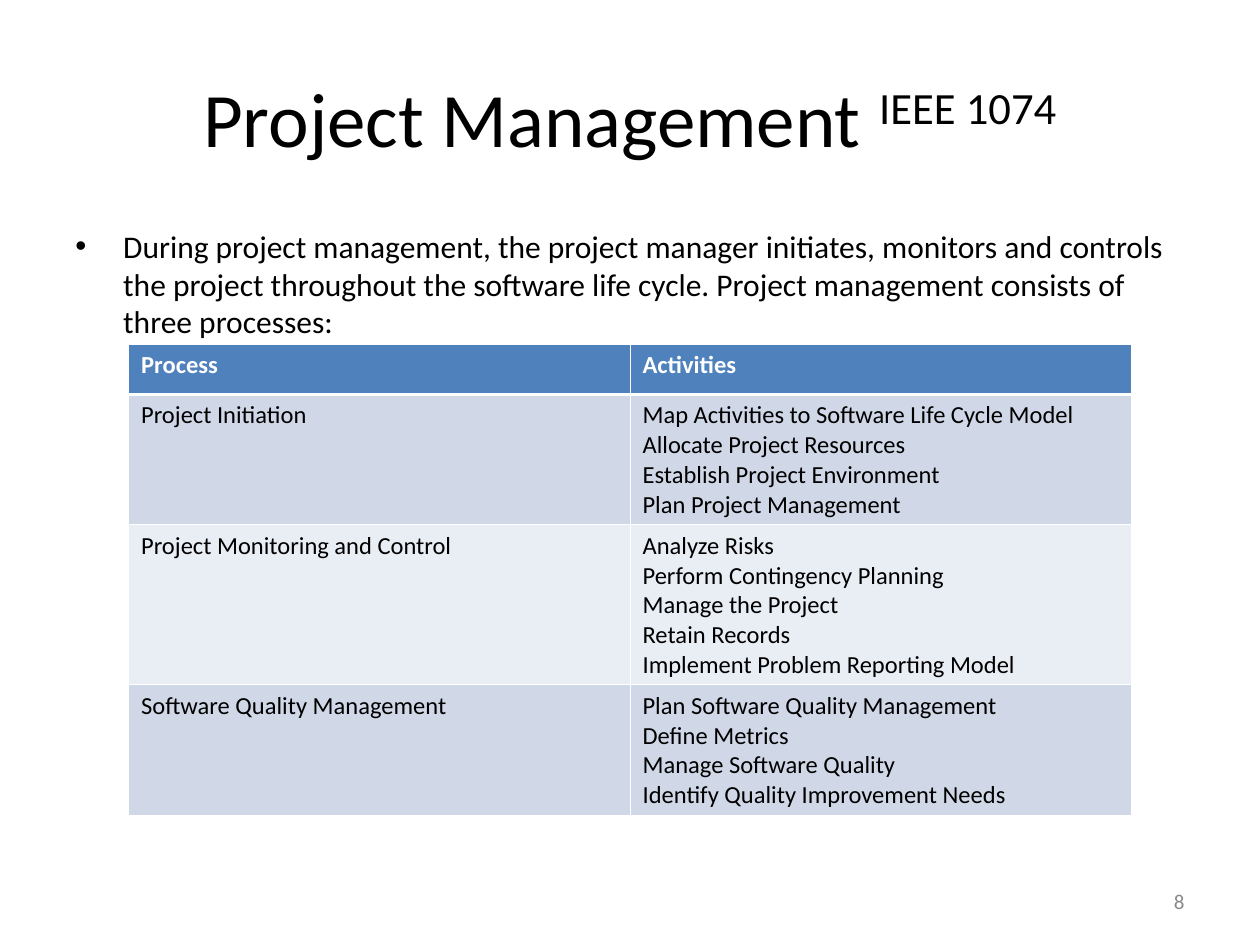
from lxml.etree import SubElement
from pptx import Presentation
from pptx.dml.color import RGBColor
from pptx.enum.text import MSO_ANCHOR, PP_ALIGN
from pptx.oxml import parse_xml
from pptx.oxml.ns import nsdecls, qn
from pptx.util import Inches, Pt

PROCESSES = [
    ("Project Initiation", [
        "Map Activities to Software Life Cycle Model",
        "Allocate Project Resources",
        "Establish Project Environment",
        "Plan Project Management"]),
    ("Project Monitoring and Control", [
        "Analyze Risks",
        "Perform Contingency Planning",
        "Manage the Project",
        "Retain Records",
        "Implement Problem Reporting Model"]),
    ("Software Quality Management", [
        "Plan Software Quality Management",
        "Define Metrics",
        "Manage Software Quality",
        "Identify Quality Improvement Needs"]),
]


def color(hex_string):
    return RGBColor.from_string(hex_string)


def add_text(para, text, size=14, ink="000000", bold=False, font="Calibri",
             raised=0):
    span = para.add_run()
    span.text = text
    span.font.name = font
    span.font.size = Pt(size)
    span.font.bold = bold
    span.font.color.rgb = color(ink)
    if raised:
        span.font._element.set("baseline", str(raised * 1000))


class SlideBuilder:
    white = "FFFFFF"
    header_fill = "4F81BD"
    band_fills = ("D0D8E8", "E9EDF4")
    thin, thick = 0.45, 1.47

    def __init__(self, slide):
        self.slide = slide

    def text_box(self, left, top, width, height, anchor=MSO_ANCHOR.TOP,
                 align=PP_ALIGN.LEFT):
        box = self.slide.shapes.add_textbox(
            Inches(left), Inches(top), Inches(width), Inches(height))
        frame = box.text_frame
        frame.word_wrap = True
        frame.vertical_anchor = anchor
        para = frame.paragraphs[0]
        para.alignment = align
        return para

    def bullet(self, para, indent):
        properties = para._p.get_or_add_pPr()
        properties.set("marL", str(Inches(indent)))
        properties.set("indent", str(-Inches(indent)))
        SubElement(properties, qn("a:buFont"), typeface="Arial")
        SubElement(properties, qn("a:buChar"), char="•")

    def borders(self, cell, top, bottom):
        widths = {"L": self.thin, "R": self.thin, "T": top, "B": bottom}
        for index, (side, width) in enumerate(widths.items()):
            line = parse_xml(
                f'<a:ln{side} {nsdecls("a")} w="{Pt(width)}"><a:solidFill>'
                f'<a:srgbClr val="{self.white}"/></a:solidFill></a:ln{side}>')
            cell._tc.get_or_add_tcPr().insert(index, line)

    def cell(self, cell, lines, fill, top, bottom, **style):
        cell.fill.solid()
        cell.fill.fore_color.rgb = color(fill)
        self.borders(cell, top, bottom)
        frame = cell.text_frame
        for index, line in enumerate(lines):
            para = frame.add_paragraph() if index else frame.paragraphs[0]
            add_text(para, line, **style)

    def table(self, left, top, column_width, row_heights, header, rows):
        shape = self.slide.shapes.add_table(
            len(row_heights), len(header), Inches(left), Inches(top),
            Inches(column_width * len(header)), Inches(sum(row_heights)))
        table = shape.table
        for column in table.columns:
            column.width = Inches(column_width)
        for row, height in zip(table.rows, row_heights):
            row.height = Inches(height)
        for column, label in enumerate(header):
            self.cell(table.cell(0, column), [label], self.header_fill,
                      self.thin, self.thick, ink=self.white, bold=True)
        for number, (process, activities) in enumerate(rows):
            fill = self.band_fills[number % 2]
            top_width = self.thin if number else self.thick
            for column, lines in enumerate(([process], activities)):
                self.cell(table.cell(number + 1, column), lines, fill,
                          top_width, self.thin)


def main():
    deck = Presentation()
    deck.slide_width, deck.slide_height = Inches(10), Inches(7.5)
    page = SlideBuilder(deck.slides.add_slide(deck.slide_layouts[6]))

    # Title
    title = page.text_box(0.5, 0.3, 9, 1.25, MSO_ANCHOR.MIDDLE, PP_ALIGN.CENTER)
    add_text(title, "Project Management ", size=44)
    add_text(title, "IEEE 1074", size=44, raised=30)

    # Introduction
    intro = page.text_box(0.5, 1.75, 9, 4.95)
    page.bullet(intro, 0.38)
    add_text(intro, "During project management, the project manager initiates, "
             "monitors and controls the project throughout the software life "
             "cycle. Project management consists of three processes:", size=18)

    # Processes and their activities
    page.table(1.02, 2.73, 3.98, [0.4, 1.03, 1.27, 1.03],
               ["Process", "Activities"], PROCESSES)

    # Page number
    number = page.text_box(7.17, 6.95, 2.33, 0.4, MSO_ANCHOR.MIDDLE,
                           PP_ALIGN.RIGHT)
    add_text(number, "8", size=12, ink="898989")

    deck.save("out.pptx")


if __name__ == "__main__":
    main()
